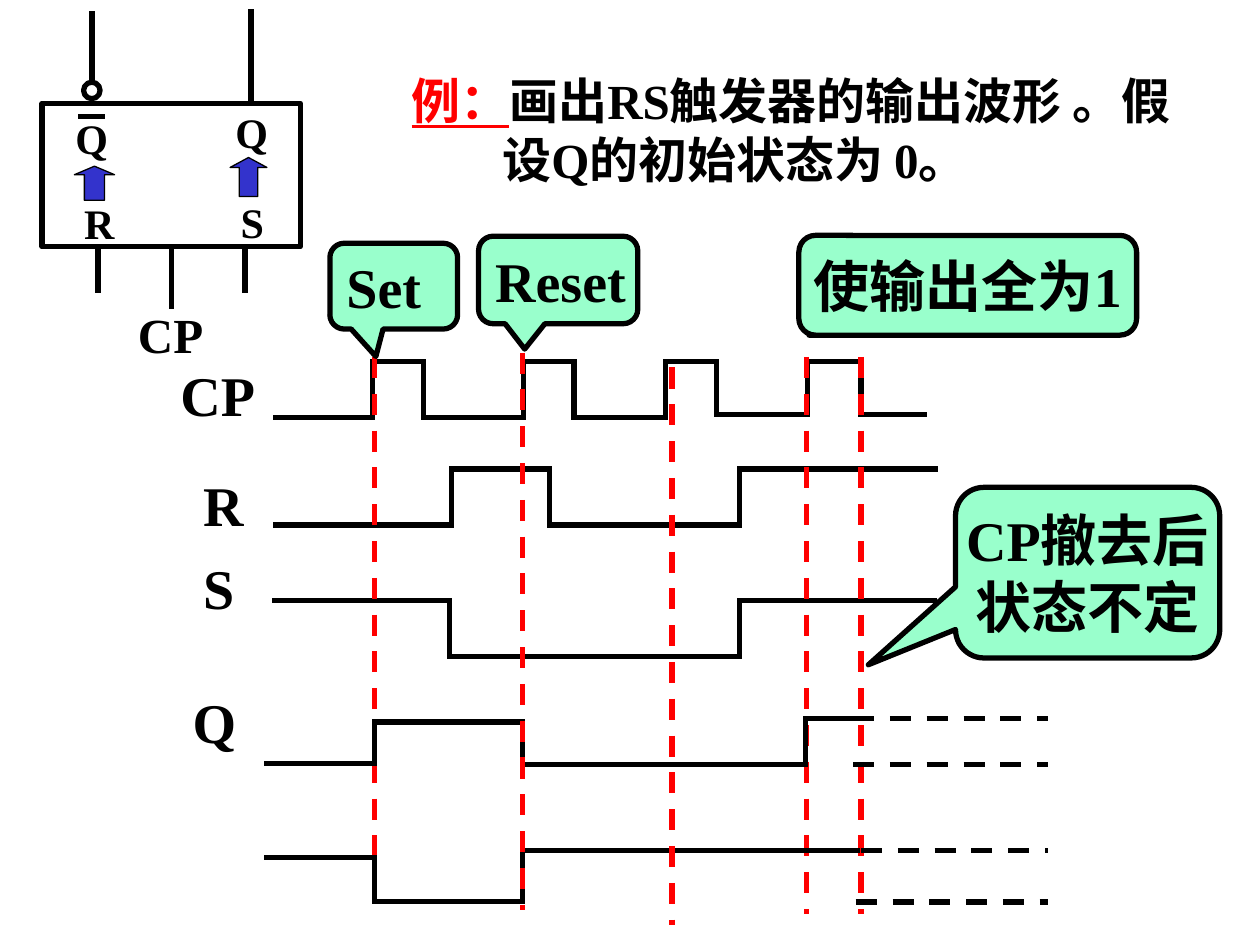
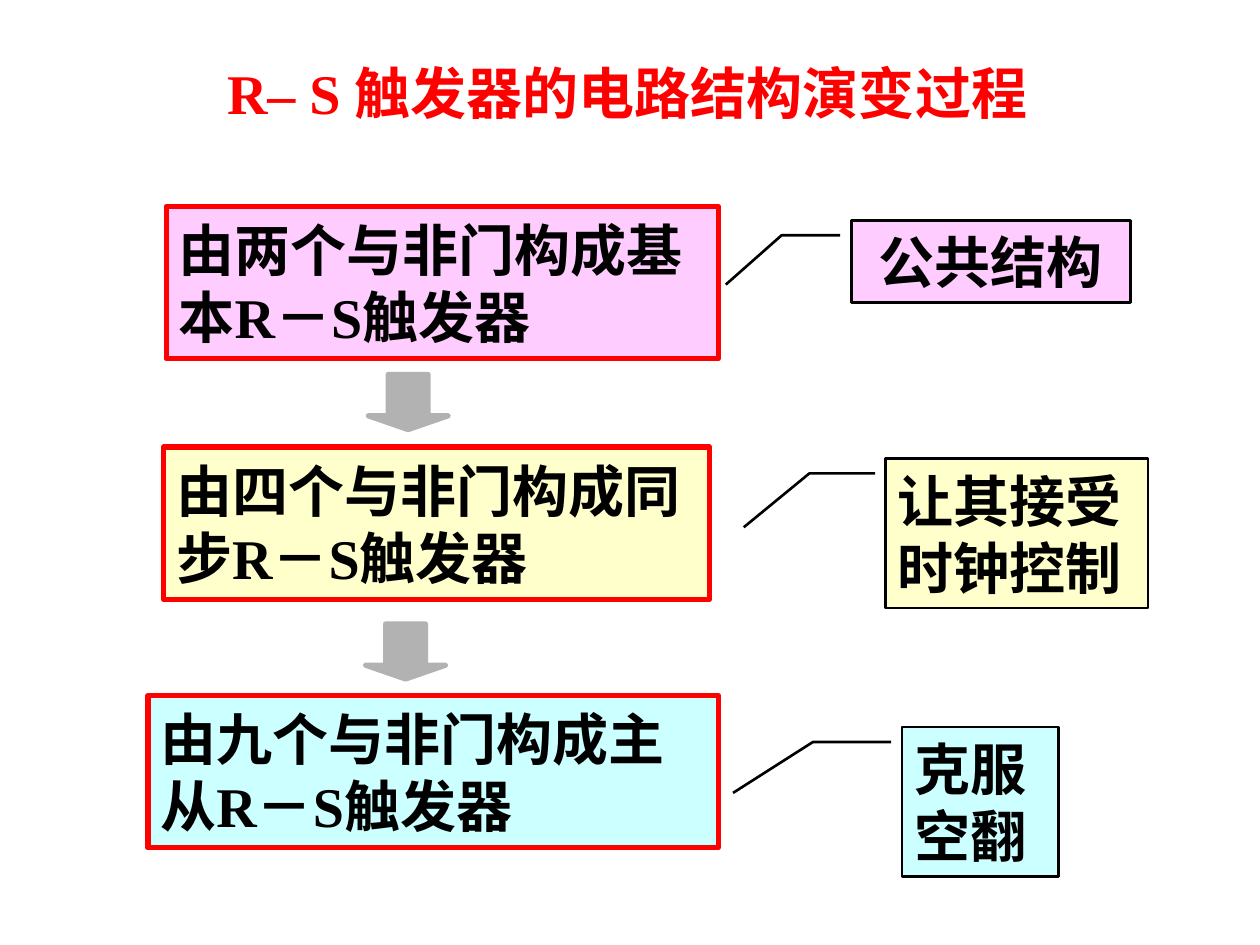
import pptx
import pptx.util
import pptx.dml.color
import pptx.enum.dml
import pptx.enum.shapes
import pptx.enum.text
import pptx.oxml.ns
from lxml import etree

Pt = pptx.util.Pt
Kind = pptx.enum.shapes.MSO_SHAPE
Align = pptx.enum.text.PP_ALIGN
Anchor = pptx.enum.text.MSO_ANCHOR

COLORS = {
    "ink": "000000", "red": "FF0000", "mint": "99FFCC", "blue": "3333CC",
    "gray": "B2B2B2", "pink": "FFCCFF", "cream": "FFFFCC", "aqua": "CCFFFF",
}
FONT = "Times New Roman"


def color(name):
    return pptx.dml.color.RGBColor.from_string(COLORS[name])


def write(shape, text, size=32, tint="ink", lead="", align=Align.LEFT,
          anchor=Anchor.MIDDLE, wrap=True, hang=0):
    """Fill a shape with text; lead is a red, underlined opening."""
    frame = shape.text_frame
    frame.auto_size = pptx.enum.text.MSO_AUTO_SIZE.NONE
    frame.word_wrap = wrap
    frame.vertical_anchor = anchor
    frame.margin_left = frame.margin_right = Pt(7.2)
    frame.margin_top = frame.margin_bottom = Pt(3.6)
    for i, words in enumerate(text.split("\n")):
        para = frame.add_paragraph() if i else frame.paragraphs[0]
        para.alignment = align
        para.space_before = Pt(0)
        if hang:
            props = para._p.get_or_add_pPr()
            props.set("marL", str(Pt(hang)))
            props.set("indent", str(-Pt(hang)))
        parts = [(words, tint, False)]
        if lead and not i:
            parts.insert(0, (lead, "red", True))
        for part, hue, under in parts:
            run = para.add_run()
            run.text = part
            font = run.font
            font.name, font.size, font.bold = FONT, Pt(size), True
            font.underline = under
            font.color.rgb = color(hue)


class Deck:
    def __init__(self):
        self.show = pptx.Presentation()
        self.show.slide_width, self.show.slide_height = Pt(720), Pt(540)
        self.slide = None

    def page(self, box, text, **style):
        """Start a slide and set its title."""
        self.slide = self.show.slides.add_slide(self.show.slide_layouts[5])
        title = self.slide.shapes.title
        title.left, title.top, title.width, title.height = map(Pt, box)
        write(title, text, **style)

    def label(self, box, text, **style):
        write(self.slide.shapes.add_textbox(*map(Pt, box)), text, **style)

    def shape(self, kind, box, fill=None, edge="ink", width=3, adjust=(),
              text="", **style):
        item = self.slide.shapes.add_shape(kind, *map(Pt, box))
        item.shadow.inherit = False
        if fill:
            item.fill.solid()
            item.fill.fore_color.rgb = color(fill)
        else:
            item.fill.background()
        item.line.color.rgb = color(edge)
        item.line.width = Pt(width)
        for i, value in enumerate(adjust):
            item.adjustments[i] = value
        if text:
            write(item, text, **style)
        return item

    def line(self, x1, y1, x2, y2, tint="ink", dash=False):
        item = self.slide.shapes.add_connector(
            pptx.enum.shapes.MSO_CONNECTOR.STRAIGHT, *map(Pt, (x1, y1, x2, y2)))
        item.line.color.rgb = color(tint)
        item.line.width = Pt(3)
        if dash:
            item.line.dash_style = pptx.enum.dml.MSO_LINE.DASH
        else:
            item.line._get_or_add_ln().set("cap", "sq")
        etree.SubElement(item._element.spPr, pptx.oxml.ns.qn("a:effectLst"))
        return item

    def wave(self, times, levels):
        """Draw one level per time span, with an edge at each change."""
        for i, level in enumerate(levels):
            if i:
                self.line(times[i], levels[i - 1], times[i], level)
            self.line(times[i], level, times[i + 1], level)

    def cue(self, x, top, end):
        self.line(x, top, x, end, "red", True)


def draw_gate(deck):
    for box, adjust in (((131.5, 90, 21, 22.3), 0.27), ((42.5, 95, 23, 19.5), 0.25)):
        deck.shape(Kind.UP_ARROW, box, "blue", width=0.75, adjust=(0.5, adjust))
    for x, y, name in ((36, 61, "Q"), (127.5, 57.5, "Q"), (41, 109.5, "R"), (130.5, 108.5, "S")):
        deck.label((x, y, 36, 36), name, size=24, anchor=Anchor.TOP)
    deck.label((71.5, 170.5, 52, 41), "CP", size=28, align=Align.CENTER, wrap=False)
    gate = deck.shape(Kind.RECTANGLE, (24, 59, 147.6, 82))
    ring = deck.shape(Kind.OVAL, (47.8, 47, 9.4, 9.4))
    deck.line(46, 66.5, 58.5, 66.5)
    deck.line(52.5, 8, 52.5, 47).end_connect(ring, 0)
    deck.line(143.5, 6.5, 143.5, 59)
    for x in (56, 140):
        deck.line(x, 141, x, 166)
    deck.line(97.8, 141, 97.8, 175).begin_connect(gate, 2)


def draw_waves(deck):
    for x, y, name in ((96, 202.5, "CP"), (109, 265.5, "R"), (109, 312.5, "S"), (103, 389.5, "Q")):
        deck.label((x, y, 78, 45), name, anchor=Anchor.TOP)
    low, high = 238.5, 206.5
    deck.wave((157.5, 213, 242, 299, 328, 380.5, 409.5, 461.5, 492, 528),
              (low, high, low, high, low, high, 237, high, 237))
    deck.wave((157.5, 258, 314, 422.5, 534.5), (300, 268, 300, 268))
    deck.wave((157, 257, 422.5, 534), (343, 375, 343))
    for x in (461, 492):
        deck.cue(x, 204, 522)
    deck.cue(214, 204, 514)
    times = (152.5, 214, 298.5, 460.5, 490)
    deck.wave(times, (436.5, 412.5, 437, 410.5))
    deck.wave(times[:3] + times[4:], (490, 515, 486))
    for x, y in ((487.5, 410.5), (487.5, 437), (489, 515.5), (492, 486)):
        deck.line(x, y, 599, y, dash=True)
    deck.cue(298.5, 201.5, 520)
    deck.cue(384, 210, 528.5)


def draw_notes(deck):
    notes = (
        ((188.5, 139, 73, 49), (-0.14, 0.82), "Set", Align.LEFT),
        ((273.5, 135, 91, 50), (-0.21, 0.79), "Reset", Align.LEFT),
        ((456.5, 134.5, 193, 57), (-0.47, 0.5), "使输出全为1", Align.CENTER),
        ((546, 278.5, 151, 97.5), (-0.83, 0.54), "CP撤去后\n状态不定", Align.CENTER),
    )
    for box, tip, text, align in notes:
        deck.shape(Kind.ROUNDED_RECTANGULAR_CALLOUT, box, "mint",
                   adjust=(*tip, 0.167), text=text, align=align, wrap=False)


def draw_steps(deck):
    steps = (
        ("pink", (95, 118, 315.5, 87), "由两个与非门构成基本R－S触发器",
         (486.5, 126, 159.5, 47), "公共结构", (0.18, -0.04, 0.18, -0.25, 0.78, -0.45)),
        ("cream", (93.5, 255.5, 312, 87), "由四个与非门构成同步R－S触发器",
         (506, 262, 150, 85.5), "让其接受时钟控制", (0.1, -0.04, 0.1, -0.29, 0.46, -0.54)),
        ("aqua", (84.5, 397.5, 326, 87), "由九个与非门构成主从R－S触发器",
         (515.5, 415.5, 89.5, 85.5), "克服空翻", (0.1, -0.07, 0.1, -0.57, 0.44, -1.08)),
    )
    for fill, box, text, side, note, bend in steps:
        deck.shape(Kind.RECTANGLE, box, fill, "red", text=text)
        deck.shape(Kind.LINE_CALLOUT_2, side, fill, width=1.5, adjust=bend, text=note,
                   align=Align.CENTER if fill == "pink" else Align.LEFT)
    for x, y in ((210.5, 214), (209, 356.5)):
        deck.shape(Kind.DOWN_ARROW, (x, y, 45.5, 31.5), "gray", "gray", adjust=(0.5, 0.25))


def main():
    deck = Deck()
    deck.page((228, 36.5, 462.5, 74), "画出RS触发器的输出波形 。假设Q的初始状态为 0。",
              size=28, lead="例：", anchor=Anchor.TOP, hang=52)
    draw_waves(deck)
    draw_notes(deck)
    draw_gate(deck)
    deck.page((35.5, 30, 646, 45.5), "R– S 触发器的电路结构演变过程",
              tint="red", align=Align.CENTER)
    draw_steps(deck)
    deck.show.save("out.pptx")


if __name__ == "__main__":
    main()
